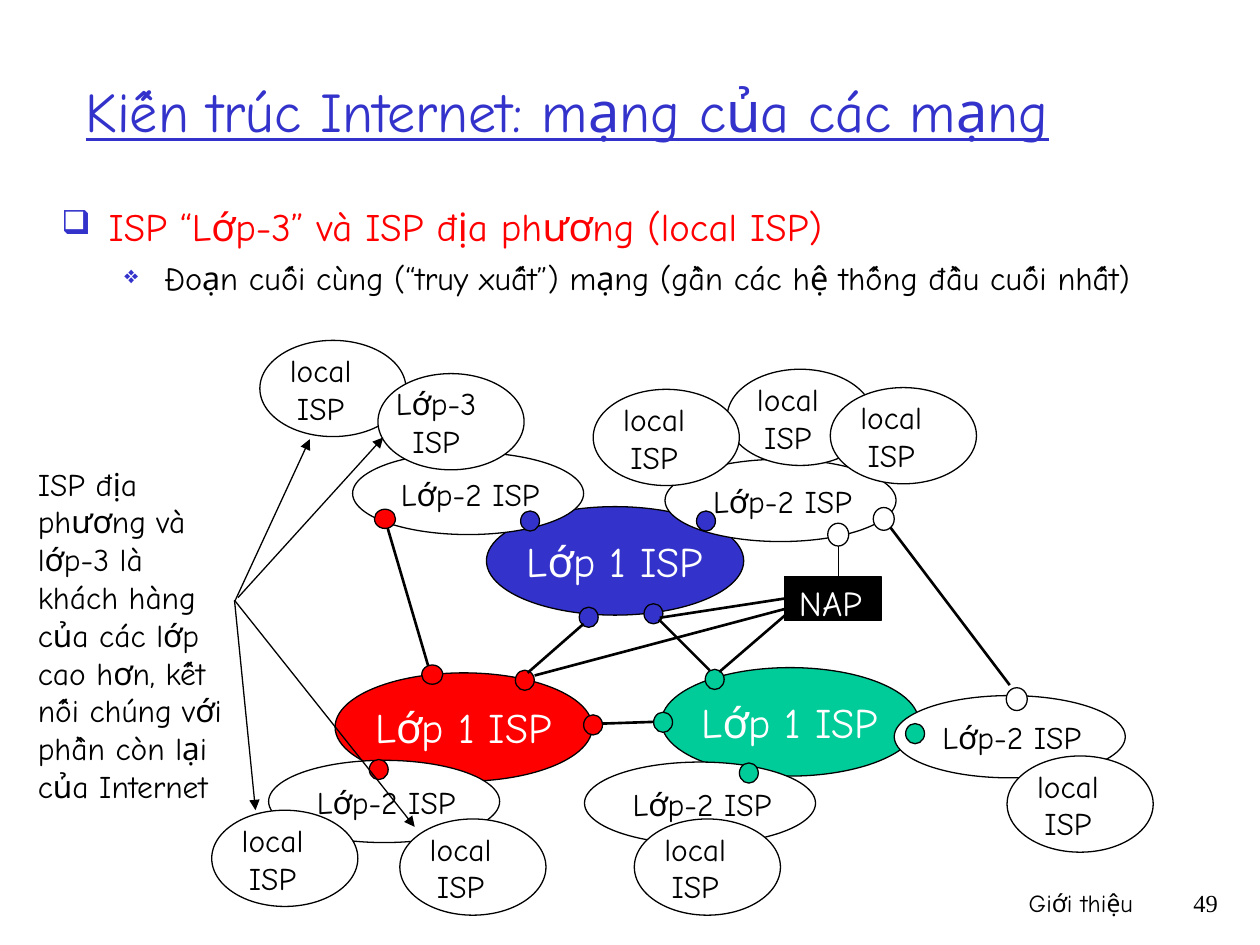
from lxml import etree
from pptx import Presentation
from pptx.dml.color import RGBColor
from pptx.enum import shapes, text
from pptx.oxml.ns import qn
from pptx.util import Pt

THEME = {
    "font": "Comic Neue", "serif": "Times New Roman",
    "blue": "3333CC", "red": "FF0000", "green": "00CC99",
    "black": "000000", "white": "FFFFFF",
    "title": 32, "head": 22.2, "sub": 18.5, "core": 24,
    "nap": 20, "label": 18, "foot": 14, "thin": 0.75, "thick": 1.5,
}
TITLE = "Kiến trúc Internet: mạng của các mạng"
POINTS = [
    ("ISP “Lớp-3” và ISP địa phương (local ISP)", "head", "red", "❑", 85, 27, 27, 0),
    ("Đoạn cuối cùng (“truy xuất”) mạng (gần các hệ thống đầu cuối nhất)",
     "sub", "black", "❖", 75, 58.5, 22.5, 5),
]
NOTE = ("ISP địa phương và lớp-3 là khách hàng của các lớp cao hơn, "
        "kết nối chúng với phần còn lại của Internet")
FOOT = [("Giới thiệu", "font", 426, 228.5), ("49", "serif", 654, 49)]

CORES = [(191.5, 384.5, "red"), (278, 289.5, "blue"), (378, 381.5, "green")]
PORTS = [
    (403, 382.5, "green"), (368, 345, "blue"), (331, 347, "blue"),
    (294.5, 383, "red"), (333.5, 408.5, "red"), (373.5, 407, "green"),
]
TRUNKS = [
    ((344, 413.5), (373.5, 412.5)),
    ((376.5, 354), (405.5, 383)),
    ((301.5, 384.5), (333.5, 356.5)),
]
NAP = (448.5, 329.5, 55, 25)
PEERS = [
    ((450.5, 350), (411, 384)),
    ((448.5, 343), (377, 353)),
    ((448.5, 348), (305.5, 386)),
]
TIERS = [
    (380, 262.5, 398, 292, "blue"),
    (201.5, 258.5, 297.5, 292, "blue"),
    (153.5, 434.5, 211, 434, "red"),
    (334, 435.5, 422.5, 436, "green"),
    (511, 397.5, 517.5, 413.5, "green"),
]
ENDS = [
    (214, 291, 11, "red"), (241, 380, 11, "red"),
    (499, 290, 13, "white"), (575, 393, 13, "white"), (473, 299, 13, "white"),
]
LINKS = [
    ((221, 300), (246, 385), "thick"),
    ((508.5, 301), (577, 391.5), "thick"),
    ((479, 311), (479, 329.5), "thin"),
]
LOCALS = [
    (415.5, 211, "local"), (339, 222.5, "local"), (474.5, 221.5, "local"),
    (121, 463, "local"), (148.5, 194.5, "local"), (216, 213.5, "Lớp-3"),
    (228.5, 468, "local"), (362.5, 468, "local"), (575.5, 432, "local"),
]
ARROWS = [
    ((134, 344), (177, 251)), ((136, 341.5), (219, 250)),
    ((134, 343), (146, 463)), ((134, 343), (237, 472.5)),
]

CORE = (147, 62)
TIER = (132, 47)
LEAF = (83.5, 55)
PORT = (10.8, 11.5)

prs = Presentation()
prs.slide_width, prs.slide_height = Pt(720), Pt(540)
slide = prs.slides.add_slide(prs.slide_layouts[6])


def tint(name):
    return RGBColor.from_string(THEME[name])


def style(para, size, color, face="font", align=None):
    para.font.name = THEME[face]
    para.font.size = Pt(THEME[size])
    para.font.color.rgb = tint(color)
    para.alignment = align


def shape(kind, x, y, w, h, color):
    item = slide.shapes.add_shape(kind, Pt(x), Pt(y), Pt(w), Pt(h))
    item.shadow.inherit = False
    item.fill.solid()
    item.fill.fore_color.rgb = tint(color)
    item.line.color.rgb = tint("black")
    item.line.width = Pt(THEME["thin"])
    return item


def oval(x, y, w, h, color):
    return shape(shapes.MSO_SHAPE.OVAL, x, y, w, h, color)


def box(x, y, w, h, lines, size, color, face="font", align=None, wrap=True):
    frame = slide.shapes.add_textbox(Pt(x), Pt(y), Pt(w), Pt(h)).text_frame
    frame.word_wrap = wrap
    if not wrap:
        frame.auto_size = text.MSO_AUTO_SIZE.SHAPE_TO_FIT_TEXT
    frame.text = "\n".join(lines)
    for para in frame.paragraphs:
        style(para, size, color, face, align)
    return frame


def line(start, end, width="thick", arrow=False):
    item = slide.shapes.add_connector(
        shapes.MSO_CONNECTOR.STRAIGHT, *map(Pt, start + end))
    item.line.color.rgb = tint("black")
    item.line.width = Pt(THEME[width])
    if arrow:
        ln = item.line._get_or_add_ln()
        etree.SubElement(ln, qn("a:tailEnd"), type="triangle")
    etree.SubElement(item._element.spPr, qn("a:effectLst"))
    return item


def bullet(para, mark, scale, left, hang):
    props = para._p.get_or_add_pPr()
    props.set("marL", str(Pt(left)))
    props.set("indent", str(-Pt(hang)))
    color = etree.SubElement(props, qn("a:buClr"))
    etree.SubElement(color, qn("a:srgbClr"), val=THEME["blue"])
    etree.SubElement(props, qn("a:buSzPct"), val=str(scale * 1000))
    etree.SubElement(props, qn("a:buChar"), char=mark)


for words, face, x, w in FOOT:
    box(x, 504, w, 36, [words], "foot", "black", face, text.PP_ALIGN.RIGHT)

head = box(42, 18, 637, 90, [TITLE], "title", "blue")
head.vertical_anchor = text.MSO_ANCHOR.MIDDLE
head.paragraphs[0].font.underline = True

body = slide.shapes.add_textbox(Pt(28), Pt(112.5), Pt(664.5), Pt(72)).text_frame
body.word_wrap = True
for n, (words, size, color, mark, scale, left, hang, gap) in enumerate(POINTS):
    para = body.add_paragraph() if n else body.paragraphs[0]
    para.text = words
    para.level = n
    bullet(para, mark, scale, left, hang)
    style(para, size, color)
    para.space_before = Pt(gap)

for x, y, color in CORES:
    frame = oval(x, y, *CORE, color).text_frame
    frame.word_wrap = False
    frame.vertical_anchor = text.MSO_ANCHOR.MIDDLE
    frame.text = "Lớp 1 ISP"
    style(frame.paragraphs[0], "core", "white", align=text.PP_ALIGN.CENTER)

for x, y, color in PORTS:
    oval(x, y, *PORT, color)
for start, end in TRUNKS:
    line(start, end)

nap = shape(shapes.MSO_SHAPE.RECTANGLE, *NAP, "black")
box(449.5, 329, 50.5, 31.5, ["NAP"], "nap", "white", wrap=False)
wires = [line(start, end) for start, end in PEERS]
wires[1].begin_connect(nap, 1)

for x, y, px, py, color in TIERS:
    oval(x, y, *TIER, "white")
    box(x + 20.5, y + 9.5, 93.5, 29, ["Lớp-2 ISP"], "label", "black", wrap=False)
    oval(px, py, *PORT, color)

for start, end, width in LINKS:
    line(start, end, width)
for x, y, h, color in ENDS:
    oval(x, y, 12, h, color)

for x, y, name in LOCALS:
    inset, w = (5, 59.5) if name == "local" else (1, 64.5)
    oval(x, y, *LEAF, "white")
    box(x + inset, y + 2.5, w, 50.5, [name, "ISP"], "label", "black",
        align=text.PP_ALIGN.CENTER, wrap=False)

box(14.5, 262, 121.5, 201.5, [NOTE], "label", "black")
for start, end in ARROWS:
    line(start, end, "thin", True)

prs.save("out.pptx")
